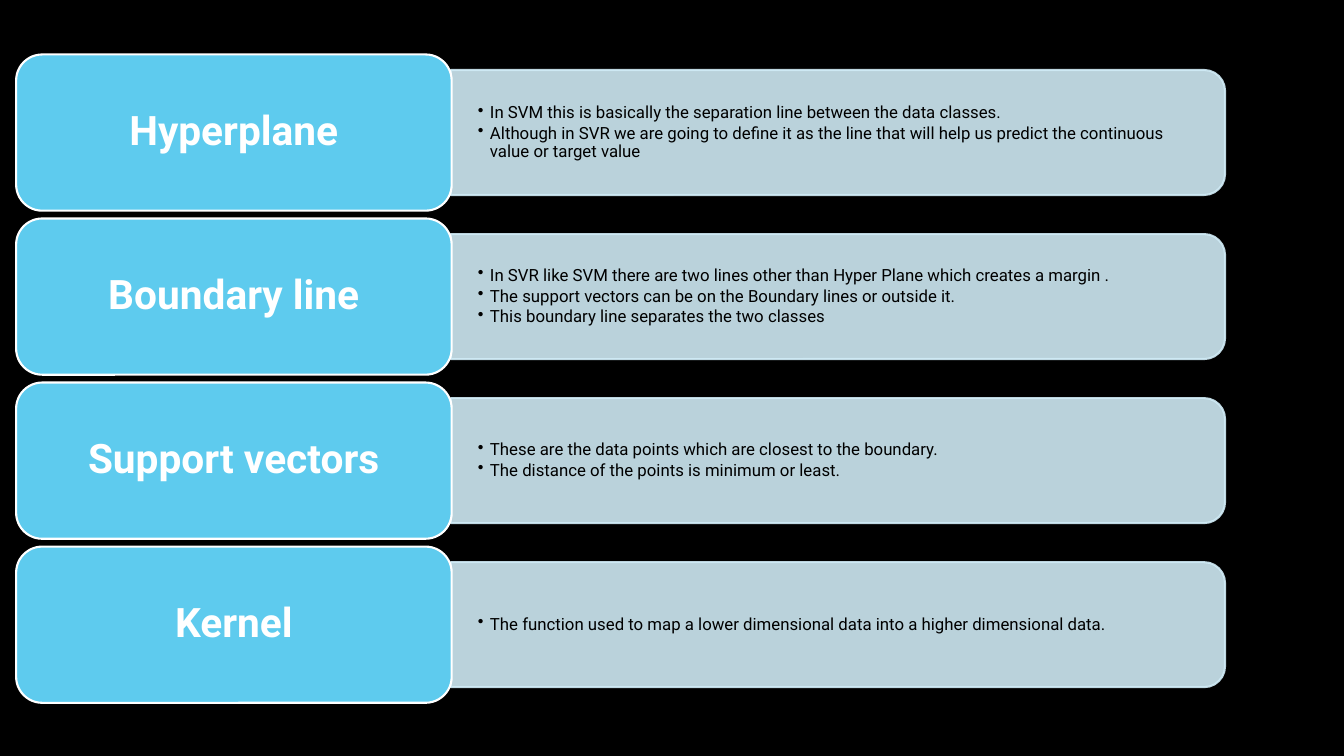
from lxml.etree import SubElement
from pptx import Presentation
from pptx.dml.color import RGBColor
from pptx.enum.shapes import MSO_SHAPE
from pptx.enum.text import MSO_ANCHOR, PP_ALIGN
from pptx.oxml.ns import qn
from pptx.util import Inches, Pt

BLACK = RGBColor(0x00, 0x00, 0x00)
WHITE = RGBColor(0xFF, 0xFF, 0xFF)
SKY = RGBColor(0x5E, 0xCB, 0xEE)
PALE = RGBColor(0xD1, 0xEC, 0xF7)
FONT = "Roboto"

# Two columns and four rows, in inches
LABEL_LEFT, LABEL_WIDTH = 0.16, 4.32
PANEL_LEFT, PANEL_WIDTH = 4.47, 7.68
TEXT_WIDTH, TEXT_HEIGHT = 7.63, 1.12
FIRST_TOP, ROW_HEIGHT = 0.54, 1.55
ROW_PITCH = ROW_HEIGHT * 1.05
PANEL_HEIGHT = ROW_HEIGHT * 0.8
CORNER = 0.167

TERMS = [
    ("Hyperplane", [
        "In SVM this is basically the separation line between the data classes.",
        "Although in SVR we are going to define it as the line that will help us "
        "predict the continuous value or target value",
    ]),
    ("Boundary line", [
        "In SVR like SVM there are two lines other than Hyper Plane which creates a margin .",
        "The support vectors can be on the Boundary lines or outside it.",
        "This boundary line separates the two classes",
    ]),
    ("Support vectors", [
        "These are the data points which are closest to the boundary.",
        "The distance of the points is minimum or least.",
    ]),
    ("Kernel", [
        "The function used to map a lower dimensional data into a higher dimensional data.",
    ]),
]


def style_shape(shape, fill, line):
    shape.shadow.inherit = False
    shape.fill.solid()
    shape.fill.fore_color.rgb = fill
    shape.line.color.rgb = line
    shape.line.width = Pt(1.5)


def set_frame(frame, horizontal, vertical):
    frame.word_wrap = True
    frame.vertical_anchor = MSO_ANCHOR.MIDDLE
    frame.margin_left = frame.margin_right = Inches(horizontal)
    frame.margin_top = frame.margin_bottom = Inches(vertical)


def add_run(paragraph, text, size, color, bold=False):
    paragraph.line_spacing = 0.9
    run = paragraph.add_run()
    run.text = text
    run.font.name = FONT
    run.font.size = Pt(size)
    run.font.bold = bold
    run.font.color.rgb = color


def add_bullet(paragraph):
    properties = paragraph._p.get_or_add_pPr()
    properties.set("marL", str(Inches(0.12)))
    properties.set("indent", str(-Inches(0.12)))
    color = SubElement(properties, qn("a:buClr"))
    SubElement(color, qn("a:srgbClr"), val=str(BLACK))
    SubElement(properties, qn("a:buChar"), char="•")


def add_panel(slide, middle):
    # Turned a quarter so that the two rounded corners face right
    center = PANEL_LEFT + PANEL_WIDTH / 2
    panel = slide.shapes.add_shape(
        MSO_SHAPE.ROUND_2_SAME_RECTANGLE,
        Inches(center - PANEL_HEIGHT / 2), Inches(middle - PANEL_WIDTH / 2),
        Inches(PANEL_HEIGHT), Inches(PANEL_WIDTH))
    panel.rotation = 90
    panel.adjustments[0] = CORNER
    panel.adjustments[1] = 0
    style_shape(panel, PALE, PALE)
    for color in panel._element.spPr.iter(qn("a:srgbClr")):
        SubElement(color, qn("a:alpha"), val="89000")


def add_points(slide, middle, points):
    box = slide.shapes.add_textbox(
        Inches(PANEL_LEFT), Inches(middle - TEXT_HEIGHT / 2),
        Inches(TEXT_WIDTH), Inches(TEXT_HEIGHT))
    frame = box.text_frame
    set_frame(frame, 0.27, 0.14)
    for index, point in enumerate(points):
        paragraph = frame.add_paragraph() if index else frame.paragraphs[0]
        paragraph.level = 1
        add_bullet(paragraph)
        if index:
            paragraph.space_before = Pt(1.8)
        add_run(paragraph, point, 12, BLACK)


def add_label(slide, top, term):
    label = slide.shapes.add_shape(
        MSO_SHAPE.ROUNDED_RECTANGLE, Inches(LABEL_LEFT), Inches(top),
        Inches(LABEL_WIDTH), Inches(ROW_HEIGHT))
    label.adjustments[0] = CORNER
    style_shape(label, SKY, WHITE)
    set_frame(label.text_frame, 0.12, 0.06)
    paragraph = label.text_frame.paragraphs[0]
    paragraph.alignment = PP_ALIGN.CENTER
    add_run(paragraph, term, 29, WHITE, bold=True)


def main():
    presentation = Presentation()
    presentation.slide_width = Inches(13.33)
    presentation.slide_height = Inches(7.5)
    slide = presentation.slides.add_slide(presentation.slide_layouts[6])
    slide.background.fill.solid()
    slide.background.fill.fore_color.rgb = BLACK

    # One row per term
    for row, (term, points) in enumerate(TERMS):
        top = FIRST_TOP + row * ROW_PITCH
        middle = top + ROW_HEIGHT / 2
        add_panel(slide, middle)
        add_points(slide, middle, points)
        add_label(slide, top, term)

    presentation.save("out.pptx")


if __name__ == "__main__":
    main()
